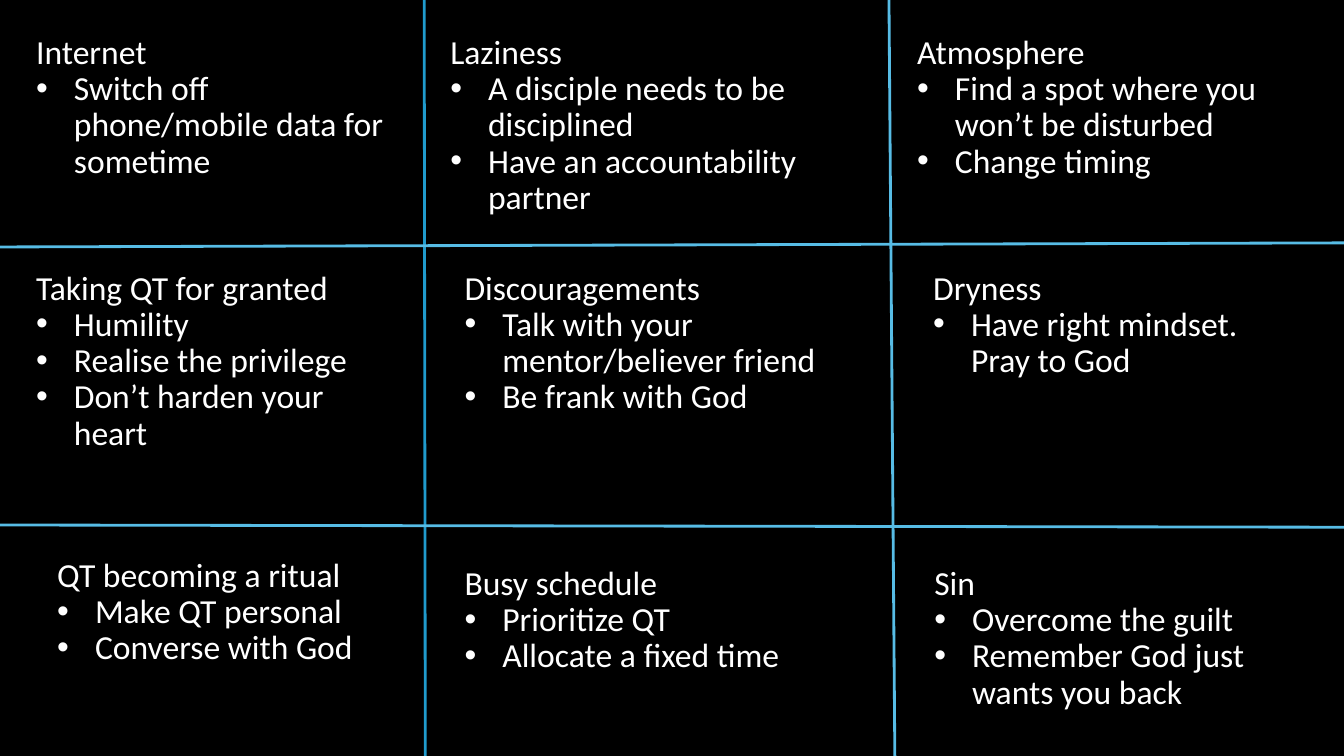
from dataclasses import dataclass

from lxml.etree import SubElement
from pptx import Presentation
from pptx.dml.color import RGBColor
from pptx.enum.shapes import MSO_CONNECTOR
from pptx.enum.text import MSO_AUTO_SIZE
from pptx.oxml.ns import qn
from pptx.slide import Slide
from pptx.text.text import _Paragraph as Paragraph
from pptx.util import Pt


@dataclass(frozen=True)
class Theme:
    background: RGBColor = RGBColor(0x00, 0x00, 0x00)
    text: RGBColor = RGBColor(0xFF, 0xFF, 0xFF)
    light_blue: RGBColor = RGBColor(0x57, 0xBC, 0xE5)
    deep_blue: RGBColor = RGBColor(0x20, 0x9B, 0xCD)
    font: str = "Calibri"
    text_size: float = 24
    line_spacing: float = 0.9
    bullet_indent: float = 27
    divider_width: float = 2


@dataclass(frozen=True)
class Divider:
    start: tuple[float, float]
    end: tuple[float, float]
    color: RGBColor


@dataclass(frozen=True)
class Obstacle:
    left: float
    top: float
    width: float
    line_count: int
    title: str
    remedies: tuple[str, ...]

    @property
    def height(self) -> float:
        return 7.2 + 26.2 * self.line_count


THEME = Theme()
SLIDE_WIDTH, SLIDE_HEIGHT = 960, 540
FIRST_ROW, SECOND_ROW, THIRD_ROW = 21.6, 190, 401

DIVIDERS = (
    Divider((303, 0), (303.8, SLIDE_HEIGHT), THEME.deep_blue),
    Divider((635, 0), (639.2, SLIDE_HEIGHT), THEME.light_blue),
    Divider((0, 176.4), (SLIDE_WIDTH, 173.5), THEME.light_blue),
    Divider((0, 375), (SLIDE_WIDTH, 376.6), THEME.light_blue),
)

OBSTACLES = (
    Obstacle(18.7, FIRST_ROW, 265, 4, "Internet",
             ("Switch off phone/mobile data for sometime",)),
    Obstacle(314.6, FIRST_ROW, 299.5, 5, "Laziness",
             ("A disciple needs to be disciplined", "Have an accountability partner")),
    Obstacle(648, FIRST_ROW, 294.5, 4, "Atmosphere",
             ("Find a spot where you won’t be disturbed", "Change timing")),
    Obstacle(18.7, SECOND_ROW, 263.5, 5, "Taking QT for granted",
             ("Humility", "Realise the privilege", "Don’t harden your heart")),
    Obstacle(324.7, SECOND_ROW, 290, 4, "Discouragements",
             ("Talk with your mentor/believer friend", "Be frank with God")),
    Obstacle(659.5, SECOND_ROW, 274.3, 3, "Dryness",
             ("Have right mindset. Pray to God",)),
    Obstacle(33.8, 395.3, 240.5, 3, "QT becoming a ritual",
             ("Make QT personal", "Converse with God")),
    Obstacle(324.7, THIRD_ROW, 290, 3, "Busy schedule",
             ("Prioritize QT", "Allocate a fixed time")),
    Obstacle(660.3, THIRD_ROW, 280.8, 4, "Sin",
             ("Overcome the guilt", "Remember God just wants you back")),
)


def draw_divider(slide: Slide, divider: Divider) -> None:
    connector = slide.shapes.add_connector(
        MSO_CONNECTOR.STRAIGHT, *(Pt(value) for value in divider.start + divider.end)
    )
    connector.line.color.rgb = divider.color
    connector.line.width = Pt(THEME.divider_width)
    SubElement(connector._element.spPr, qn("a:effectLst"))


def add_bullet(paragraph: Paragraph) -> None:
    properties = paragraph._p.get_or_add_pPr()
    indent = Pt(THEME.bullet_indent)
    properties.set("marL", str(indent))
    properties.set("indent", str(-indent))
    SubElement(properties, qn("a:buFont"), typeface="Arial")
    SubElement(properties, qn("a:buChar"), char="•")


def draw_obstacle(slide: Slide, obstacle: Obstacle) -> None:
    text_box = slide.shapes.add_textbox(
        Pt(obstacle.left), Pt(obstacle.top), Pt(obstacle.width), Pt(obstacle.height)
    )
    text_frame = text_box.text_frame
    text_frame.word_wrap = True
    text_frame.auto_size = MSO_AUTO_SIZE.SHAPE_TO_FIT_TEXT
    text_frame.text = "\n".join((obstacle.title, *obstacle.remedies))

    for index, paragraph in enumerate(text_frame.paragraphs):
        paragraph.line_spacing = THEME.line_spacing
        if index > 0:
            add_bullet(paragraph)
        for run in paragraph.runs:
            run.font.name = THEME.font
            run.font.size = Pt(THEME.text_size)
            run.font.color.rgb = THEME.text


# Slide on a black background
presentation = Presentation()
presentation.slide_width = Pt(SLIDE_WIDTH)
presentation.slide_height = Pt(SLIDE_HEIGHT)
slide = presentation.slides.add_slide(presentation.slide_layouts[6])
slide.background.fill.solid()
slide.background.fill.fore_color.rgb = THEME.background

# Grid lines
for divider in DIVIDERS:
    draw_divider(slide, divider)

# Obstacles with their remedies
for obstacle in OBSTACLES:
    draw_obstacle(slide, obstacle)

presentation.save("out.pptx")
